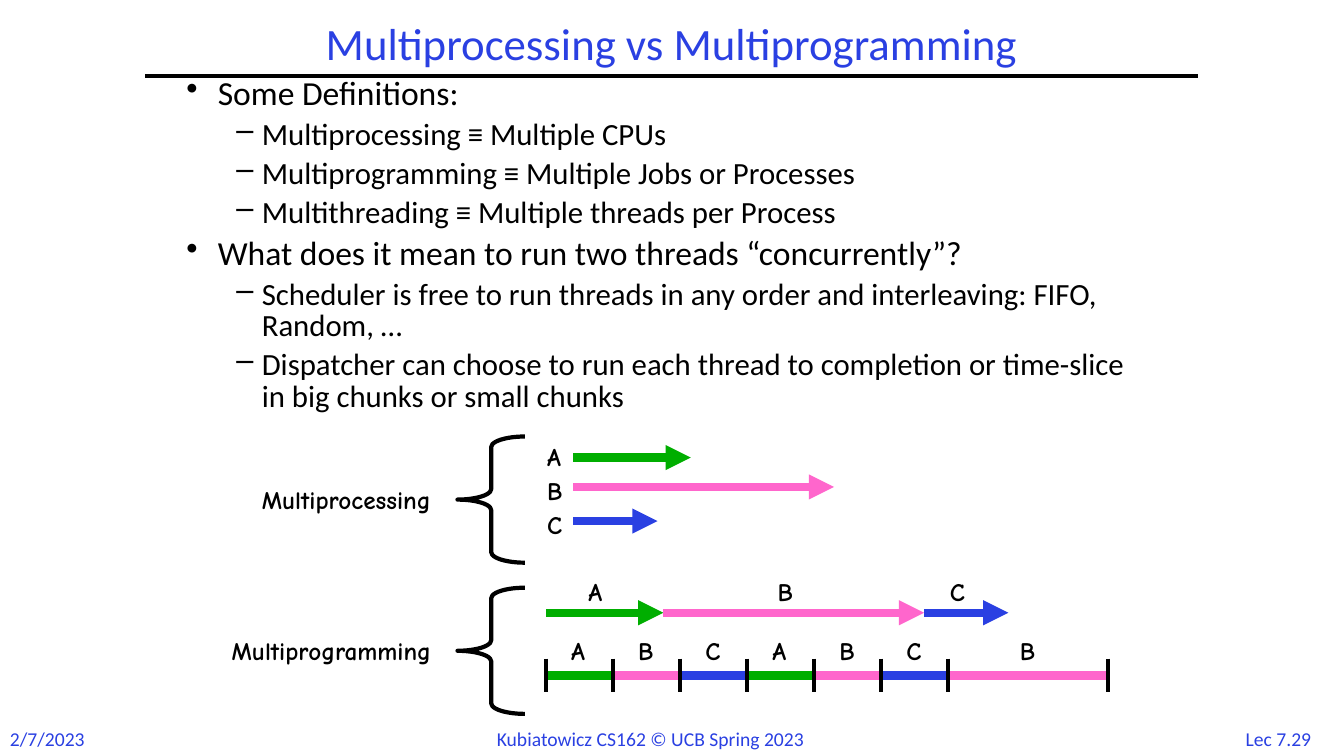
from itertools import accumulate

from lxml.etree import SubElement
from pptx import Presentation
from pptx.dml.color import RGBColor
from pptx.enum.shapes import MSO_CONNECTOR as Link, MSO_SHAPE as Shape
from pptx.enum.text import MSO_ANCHOR as Anchor, MSO_AUTO_SIZE as Fit, PP_ALIGN as Align
from pptx.oxml.ns import qn
from pptx.util import Cm, Pt

HUES = {"ink": "000000", "blue": "2A40E2", "A": "00AE00", "B": "FF66CC", "C": "2A40E2"}
JOBS = {"A": 2.96, "B": 6.57, "C": 2.12}
SLOT, LAST = 1.69, 4.02

POINTS = [
    (0, "Some Definitions:"),
    (1, "Multiprocessing ≡ Multiple CPUs"),
    (1, "Multiprogramming ≡ Multiple Jobs or Processes"),
    (1, "Multithreading ≡ Multiple threads per Process"),
    (0, "What does it mean to run two threads “concurrently”?"),
    (1, "Scheduler is free to run threads in any order and interleaving: FIFO, Random, …"),
    (1, "Dispatcher can choose to run each thread to completion or time-slice "
        "in big chunks or small chunks"),
]
LEVELS = [
    {"size": 24, "mark": "•", "left": 0.79, "hang": 0.79},
    {"size": 22, "mark": "–", "left": 1.9, "hang": 0.64},
]


def style(thing, **vals):
    """Set each given attribute on a thing."""
    for name, val in vals.items():
        setattr(thing, name, val)


def hue(name):
    """Give the colour of a name."""
    return RGBColor.from_string(HUES[name])


def write(para, text, size, color="ink", face="Calibri", bold=False):
    """Add a formatted run to a paragraph."""
    run = para.add_run()
    run.text = text
    style(run.font, size=Pt(size), name=face, bold=bold)
    run.font.color.rgb = hue(color)


def frame(slide, box, **vals):
    """Add a text box and give its text frame."""
    text = slide.shapes.add_textbox(*map(Cm, box)).text_frame
    style(text, **vals)
    return text


def label(slide, box, text, **look):
    """Add one unwrapped line of text."""
    body = frame(slide, box, word_wrap=False, auto_size=Fit.SHAPE_TO_FIT_TEXT)
    write(body.paragraphs[0], text, **look)
    return body


def tag(slide, x, y, text, wide=0.94):
    """Add a bold diagram label."""
    label(slide, (x, y, wide, 1.02), text, size=18, face="Comic Neue", bold=True)


def line(slide, x1, y1, x2, y2, color="ink", width=3, head=False):
    """Draw a straight line, with an arrowhead on request."""
    link = slide.shapes.add_connector(Link.STRAIGHT, *map(Cm, (x1, y1, x2, y2)))
    link.line.width = Pt(width)
    link.line.color.rgb = hue(color)
    if head:
        SubElement(link.line._ln, qn("a:tailEnd"), type="triangle")
    SubElement(link._element.spPr, qn("a:effectLst"))


def header(slide, box):
    """Place the title and the rule under it."""
    x, y, w, h = box
    title = slide.shapes.title
    style(title, left=Cm(x), top=Cm(y), width=Cm(w), height=Cm(h))
    style(title.text_frame, vertical_anchor=Anchor.MIDDLE, auto_size=Fit.NONE, word_wrap=True)
    para = title.text_frame.paragraphs[0]
    style(para, alignment=Align.CENTER, line_spacing=0.9)
    write(para, "Multiprocessing vs Multiprogramming", 32, "blue")
    line(slide, x, y + h, x + w, y + h)


def points(slide, box):
    """Place the two-level bullet list."""
    text = frame(slide, box, word_wrap=True)
    for num, (level, words) in enumerate(POINTS):
        look = LEVELS[level]
        para = text.add_paragraph() if num else text.paragraphs[0]
        space = Pt(look["size"] / 4 if num else 0)
        style(para, level=level, line_spacing=0.85, space_before=space)
        props = para._p.get_or_add_pPr()
        props.set("marL", str(Cm(look["left"])))
        props.set("indent", str(-Cm(look["hang"])))
        SubElement(props, qn("a:buChar"), char=look["mark"])
        write(para, words, look["size"])


def footer(slide, box):
    """Place date, credit and page number."""
    x, y, w, h = box
    parts = [
        (0, 2.44, "2/7/2023", Align.LEFT),
        (12.27, 9.35, "Kubiatowicz CS162 © UCB Spring 2023", Align.LEFT),
        (w - 2.88, 2.46, "Lec 7.29", Align.CENTER),
    ]
    for left, wide, text, align in parts:
        body = label(slide, (x + left, y, wide, h), text, size=14, color="blue")
        body.paragraphs[0].alignment = align


def brace(slide, box, name):
    """Place a caption and its brace."""
    x, y, w, h = box
    left, wide = (5.94, 1.7)
    sign = slide.shapes.add_shape(Shape.LEFT_BRACE, *map(Cm, (x + left, y, wide, h)))
    sign.shadow.inherit = False
    sign.adjustments[0] = 0.156
    sign.fill.background()
    sign.line.width = Pt(3)
    sign.line.color.rgb = hue("ink")
    span = {"Multiprocessing": 5.18}.get(name, left)
    tag(slide, x + left - span, y + 1.08, name, span)


def lanes(slide, box):
    """Draw the jobs side by side in time."""
    x, y, w, h = box
    brace(slide, box, "Multiprocessing")
    for num, ((job, span), drop) in enumerate(zip(JOBS.items(), (0.53, 1.27, 2.13))):
        tag(slide, x + 7.95, y + 0.85 * num, job)
        line(slide, x + 8.86, y + drop, x + 8.86 + span, y + drop, job, 6, True)


def turns(slide, box):
    """Draw the jobs in sequence and in time slices."""
    x, y, w, h = box
    brace(slide, box, "Multiprogramming")
    start = x + 8.17
    run, cut = y + 0.63, y + 2.21
    ends = accumulate(JOBS.values(), initial=start)
    for (job, span), left in zip(JOBS.items(), ends):
        line(slide, left, run, left + span, run, job, 6, True)
        tag(slide, left + span / 2 - 0.66, run - 1.04, job)
    spans = [SLOT] * 6 + [LAST]
    ticks = list(accumulate(spans, initial=start))
    for job, left, span in zip("ABCABCB", ticks, spans):
        line(slide, left, cut, left + span, cut, job, 6)
        tag(slide, left + span / 2 - 0.46, cut - 1.14, job)
    for tick in ticks:
        line(slide, tick, cut - 0.42, tick, cut + 0.42)


def main():
    """Build and save the slide."""
    deck = Presentation()
    style(deck, slide_width=Cm(33.87), slide_height=Cm(19.05))
    slide = deck.slides.add_slide(deck.slide_layouts[5])
    footer(slide, (0, 18.19, 33.87, 0.86))
    header(slide, (3.66, 0.43, 26.53, 1.48))
    points(slide, (4.45, 1.85, 24.2, 9.47))
    turns(slide, (5.59, 14.81, 22.35, 3.18))
    lanes(slide, (5.59, 11, 22.35, 3.18))
    deck.save("out.pptx")


if __name__ == "__main__":
    main()
